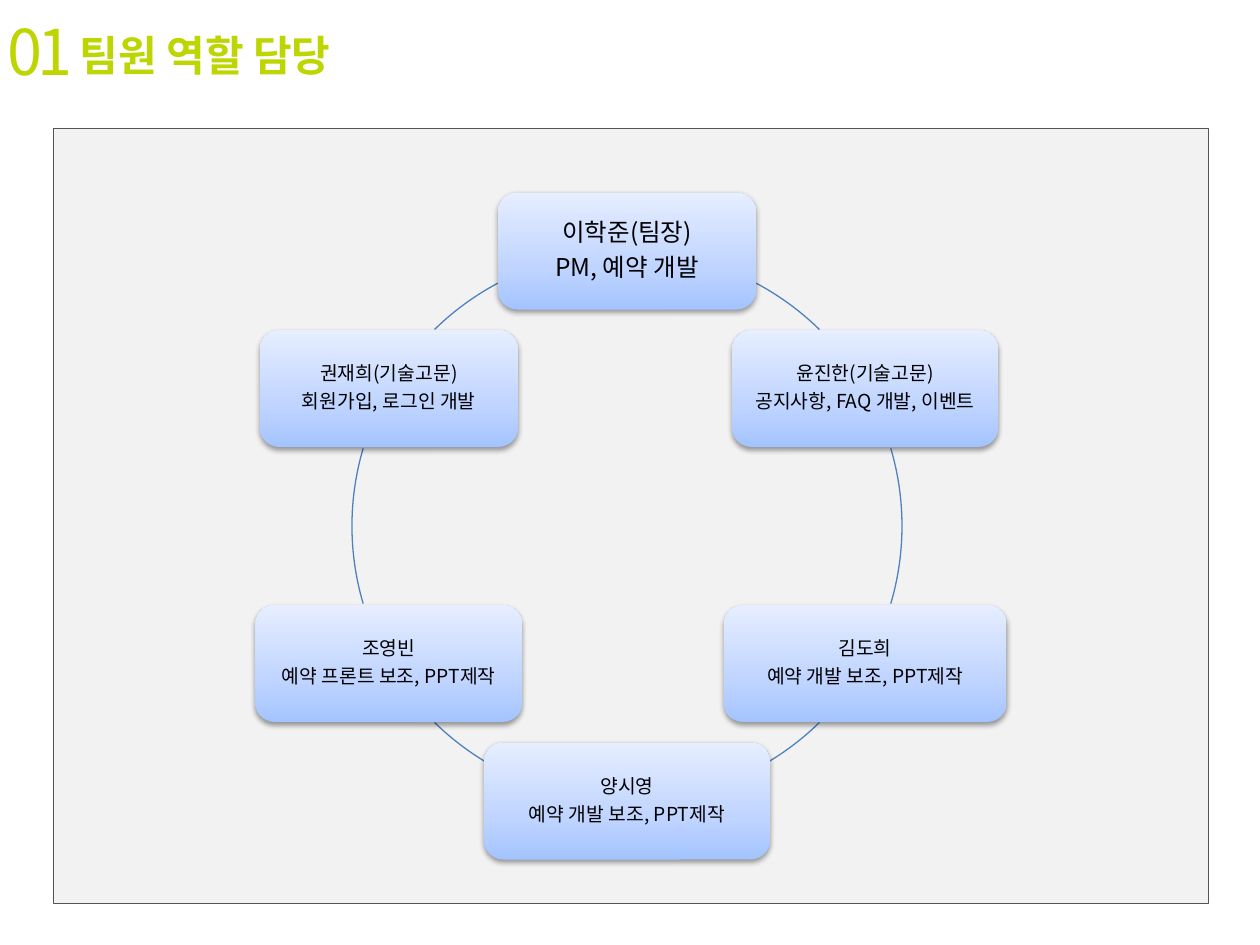
import copy
import math

import pptx
import pptx.util
from lxml import etree
from pptx.dml.color import RGBColor
from pptx.enum.shapes import MSO_SHAPE
from pptx.enum.text import MSO_ANCHOR, MSO_AUTO_SIZE, PP_ALIGN
from pptx.oxml.ns import qn

SCALE = 914400 / 126  # EMU per px
FONT = "Noto Sans CJK KR"

LIME = RGBColor(0xBD, 0xD5, 0x00)
BLACK = RGBColor(0x00, 0x00, 0x00)
PANEL = RGBColor(0xF2, 0xF2, 0xF2)
PANEL_EDGE = RGBColor(0x54, 0x54, 0x54)
RING = RGBColor(0x4F, 0x81, 0xBD)
CARD_STOPS = [
    (0, RGBColor(0xA4, 0xC4, 0xFF)),
    (0.35, RGBColor(0xBF, 0xD4, 0xFF)),
    (1, RGBColor(0xE6, 0xEE, 0xFF)),
]

# Ring of members, in px
CENTER_X, CENTER_Y, RADIUS = 627, 526, 275
CARD_HEIGHT = 117
CARD_INSET = 6

# Clockwise from the top: card width, text size, lines
MEMBERS = [
    (258, 14, ["이학준(팀장)", "PM, 예약 개발"]),
    (266, 11, ["윤진한(기술고문)", "공지사항, FAQ 개발, 이벤트"]),
    (283, 11, ["김도희", "예약 개발 보조, PPT제작"]),
    (286, 11, ["양시영", "예약 개발 보조, PPT제작"]),
    (267, 11, ["조영빈", "예약 프론트 보조, PPT제작"]),
    (258, 11, ["권재희(기술고문)", "회원가입, 로그인 개발"]),
]

# Visible arcs of the right half, in degrees clockwise from the right
RIGHT_ARCS = [(298, 314.4), (343.6, 16.4), (45.6, 58.7)]


def px(value):
    return pptx.util.Emu(round(value * SCALE))


def apply(target, values):
    for name, value in values.items():
        setattr(target, name, value)


def place(box, left, top, width, height):
    apply(box, {"left": px(left), "top": px(top), "width": px(width), "height": px(height)})


def add_span(para, text, size, color, bold=False):
    span = para.add_run()
    span.text = text
    apply(span.font, {"size": pptx.util.Pt(size), "name": FONT, "bold": bold})
    span.font.color.rgb = color
    etree.SubElement(span.font._element, qn("a:ea"), typeface=FONT)
    return span


def add_heading(page):
    frame_format = {"vertical_anchor": MSO_ANCHOR.TOP, "word_wrap": True,
                    "auto_size": MSO_AUTO_SIZE.SHAPE_TO_FIT_TEXT}
    title = page.shapes.title
    place(title, 67, 23, 563, 63)
    number = page.shapes.add_textbox(px(-5), px(6), px(100), px(89))
    for box in (title, number):
        apply(box.text_frame, frame_format)
        box.text_frame.paragraphs[0].alignment = PP_ALIGN.LEFT
    add_span(title.text_frame.paragraphs[0], "팀원 역할 담당", 24, LIME, True)
    span = add_span(number.text_frame.paragraphs[0], "01", 36, LIME)
    span.font._element.set("spc", "-300")


def add_panel(page):
    panel = page.shapes.add_shape(MSO_SHAPE.RECTANGLE, px(53), px(128), px(1155), px(775))
    panel.shadow.inherit = False
    panel.fill.solid()
    panel.fill.fore_color.rgb = PANEL
    panel.line.color.rgb = PANEL_EDGE
    panel.line.width = pptx.util.Pt(0.25)


def add_arc(page, start, end):
    arc = page.shapes.add_shape(MSO_SHAPE.ARC, px(CENTER_X - RADIUS), px(CENTER_Y - RADIUS),
                                px(2 * RADIUS), px(2 * RADIUS))
    # Arc adjustments are 60000ths of a degree, divided by 100000
    for index, angle in enumerate((start, end)):
        arc.adjustments[index] = angle * 0.6
    arc.shadow.inherit = False
    arc.fill.background()
    arc.line.color.rgb = RING
    arc.line.width = pptx.util.Pt(0.75)


def fill_gradient(shape):
    shape.fill.gradient()
    shape.fill.gradient_angle = 90
    first = shape._element.spPr.find(".//" + qn("a:gs"))
    first.addnext(copy.deepcopy(first))
    for stop, (position, color) in zip(shape.fill.gradient_stops, CARD_STOPS):
        stop.color.rgb = color
        stop.position = position


def add_shadow(shape):
    shape.shadow.inherit = False
    effects = shape._element.spPr.find(qn("a:effectLst"))
    shadow = etree.SubElement(effects, qn("a:outerShdw"), blurRad="40000", dist="20000",
                              dir="5400000", rotWithShape="0")
    color = etree.SubElement(shadow, qn("a:srgbClr"), val="000000")
    etree.SubElement(color, qn("a:alpha"), val="38000")


def add_card(page, x, y, width, size, lines):
    card = page.shapes.add_shape(MSO_SHAPE.ROUNDED_RECTANGLE, px(x - width / 2),
                                 px(y - CARD_HEIGHT / 2), px(width), px(CARD_HEIGHT))
    fill_gradient(card)
    card.line.fill.background()
    add_shadow(card)
    frame = card.text_frame
    apply(frame, {"word_wrap": True, "vertical_anchor": MSO_ANCHOR.MIDDLE})
    apply(frame, {"margin_" + side: px(CARD_INSET) for side in ("left", "top", "right", "bottom")})
    for index, text in enumerate(lines):
        para = frame.add_paragraph() if index else frame.paragraphs[0]
        apply(para, {"alignment": PP_ALIGN.CENTER, "line_spacing": 0.9})
        after = etree.SubElement(para._p.get_or_add_pPr(), qn("a:spcAft"))
        etree.SubElement(after, qn("a:spcPct"), val="35000")
        add_span(para, text, size, BLACK)


def main():
    deck = pptx.Presentation()
    apply(deck, {"slide_width": px(1260), "slide_height": px(945)})
    page = deck.slides.add_slide(deck.slide_layouts[5])

    add_panel(page)
    add_heading(page)

    # Ring, its left half mirrored from the right
    for start, end in RIGHT_ARCS:
        add_arc(page, start, end)
        add_arc(page, (540 - end) % 360, (540 - start) % 360)

    # Members at equal angles around the ring
    for index, (width, size, lines) in enumerate(MEMBERS):
        angle = math.tau * index / len(MEMBERS)
        add_card(page, CENTER_X + RADIUS * math.sin(angle),
                 CENTER_Y - RADIUS * math.cos(angle), width, size, lines)

    deck.save("out.pptx")


if __name__ == "__main__":
    main()
